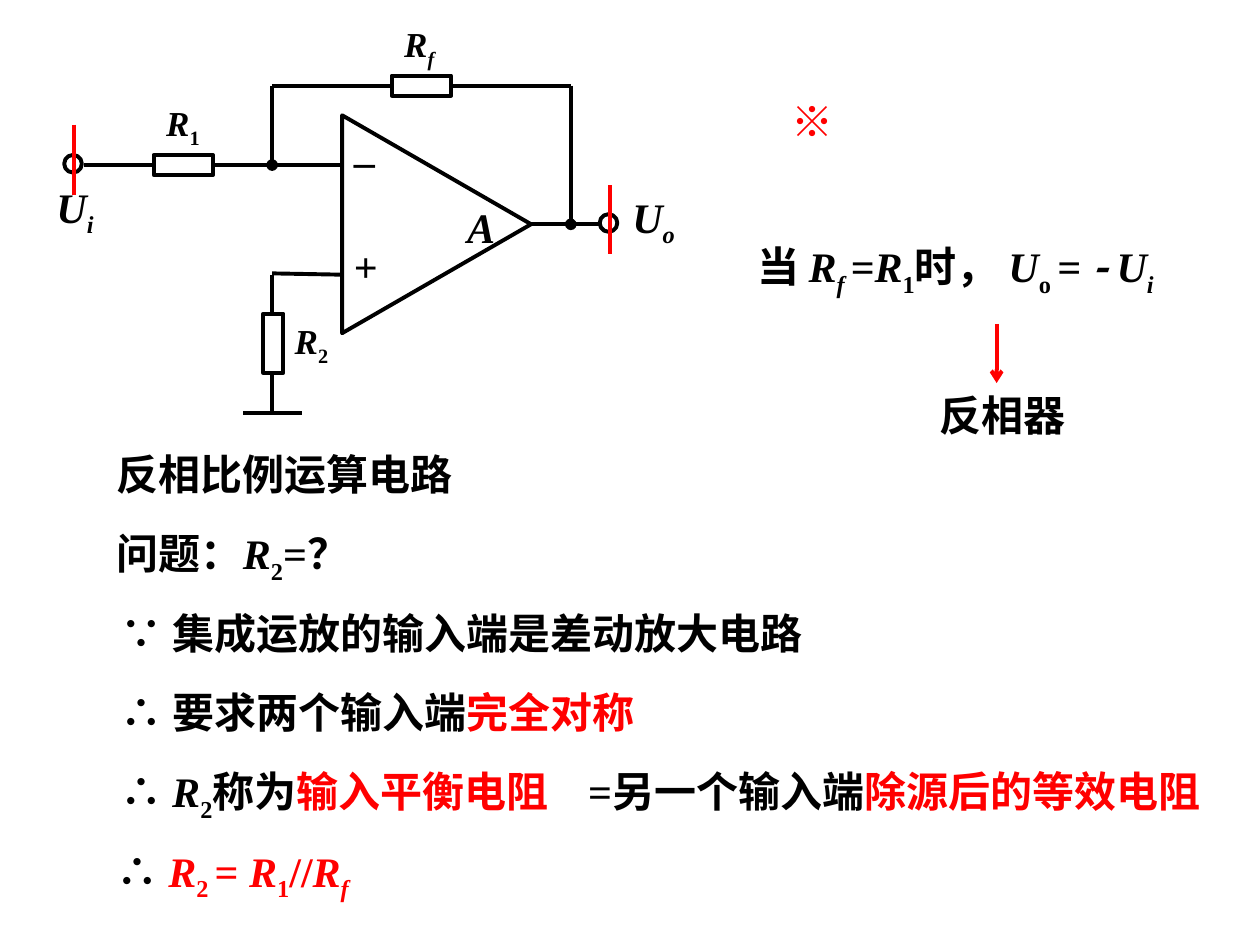
from dataclasses import dataclass
from typing import NamedTuple

import lxml.etree
import pptx
import pptx.dml.color
import pptx.enum.shapes
import pptx.enum.text
import pptx.oxml
import pptx.oxml.ns
import pptx.util

Inches = pptx.util.Inches
Shape = pptx.enum.shapes.MSO_SHAPE
qn = pptx.oxml.ns.qn


@dataclass(frozen=True)
class Theme:
    black: str = "000000"
    red: str = "FF0000"
    white: str = "FFFFFF"
    latin: str = "Times New Roman"
    chinese: str = "Noto Sans CJK SC"
    body: float = 24
    small: float = 20
    stroke: float = 2.25


THEME = Theme()


class Span(NamedTuple):
    text: str
    italic: bool = False
    sub: bool = False
    color: str = THEME.black
    font: str = THEME.latin


class Label(NamedTuple):
    left: float
    top: float
    width: float
    height: float
    spans: list[Span]
    size: float = THEME.body


class Wire(NamedTuple):
    x1: float
    y1: float
    x2: float
    y2: float
    color: str = THEME.black
    head: str = ""
    tail: str = ""


class Part(NamedTuple):
    kind: Shape
    left: float
    top: float
    width: float
    height: float
    rotation: float = 0


def rgb(color: str) -> pptx.dml.color.RGBColor:
    return pptx.dml.color.RGBColor.from_string(color)


def symbol(name: str, index: str, italic_index: bool = False,
           color: str = THEME.black) -> list[Span]:
    return [Span(name, True, color=color), Span(index, italic_index, True, color)]


def chinese(text: str, color: str = THEME.black) -> Span:
    return Span(text, color=color, font=THEME.chinese)


def draw_part(page, part: Part) -> None:
    shape = page.shapes.add_shape(
        part.kind, *map(Inches, (part.left, part.top, part.width, part.height)))
    shape.rotation = part.rotation
    shape.shadow.inherit = False
    shape.fill.solid()
    shape.fill.fore_color.rgb = rgb(THEME.white)
    shape.line.color.rgb = rgb(THEME.black)
    shape.line.width = pptx.util.Pt(THEME.stroke)


def draw_wire(page, wire: Wire) -> None:
    line = page.shapes.add_connector(
        pptx.enum.shapes.MSO_CONNECTOR.STRAIGHT,
        *map(Inches, (wire.x1, wire.y1, wire.x2, wire.y2)))
    line.line.color.rgb = rgb(wire.color)
    line.line.width = pptx.util.Pt(THEME.stroke)
    properties = line._element.spPr
    outline = properties.find(qn("a:ln"))
    for tag, end in (("a:headEnd", wire.head), ("a:tailEnd", wire.tail)):
        if end:
            lxml.etree.SubElement(outline, qn(tag), type=end)
    lxml.etree.SubElement(properties, qn("a:effectLst"))


def draw_label(page, label: Label) -> None:
    box = page.shapes.add_textbox(
        *map(Inches, (label.left, label.top, label.width, label.height)))
    box.text_frame.word_wrap = True
    box.text_frame.auto_size = pptx.enum.text.MSO_AUTO_SIZE.SHAPE_TO_FIT_TEXT
    para = box.text_frame.paragraphs[0]
    for span in label.spans:
        run = para.add_run()
        run.text = span.text
        values = {"name": span.font, "size": pptx.util.Pt(label.size),
                  "bold": True, "italic": span.italic}
        for name, value in values.items():
            setattr(run.font, name, value)
        run.font.color.rgb = rgb(span.color)
        properties = run._r.get_or_add_rPr()
        lxml.etree.SubElement(properties, qn("a:ea"), typeface=THEME.chinese)
        if span.sub:
            properties.set("baseline", "-25000")


AMPLIFIER = Part(Shape.ISOSCELES_TRIANGLE, 2.6, 1.03, 1.73, 1.5, 90)
NODE_X, OUTPUT_X = 2.16, 4.53
FEEDBACK_Y, INPUT_Y, OUTPUT_Y, GROUND_Y = 0.68, 1.31, 1.78, 3.28

WIRES = [
    Wire(2.71, INPUT_Y, 0.67, INPUT_Y),
    Wire(2.71, 2.18, NODE_X, 2.17),
    Wire(4.21, OUTPUT_Y, 4.76, OUTPUT_Y),
    Wire(NODE_X, 2.18, NODE_X, GROUND_Y),
    Wire(1.93, GROUND_Y, 2.4, GROUND_Y),
    Wire(NODE_X, INPUT_Y, NODE_X, FEEDBACK_Y, head="oval"),
    Wire(NODE_X, FEEDBACK_Y, OUTPUT_X, FEEDBACK_Y),
    Wire(OUTPUT_X, FEEDBACK_Y, OUTPUT_X, OUTPUT_Y, tail="oval"),
]
PARTS = [
    Part(Shape.OVAL, 0.51, 1.23, 0.14, 0.14),
    Part(Shape.OVAL, 4.76, 1.7, 0.14, 0.14),
    Part(Shape.RECTANGLE, 2.09, 2.49, 0.16, 0.47),
    Part(Shape.RECTANGLE, 1.22, 1.23, 0.47, 0.16),
    Part(Shape.RECTANGLE, 3.11, 0.6, 0.47, 0.16),
]
CIRCUIT_LABELS = [
    Label(3.61, 1.55, 1, 0.5, [Span("A", True)]),
    Label(4.92, 1.47, 0.91, 0.56, symbol("U", "o", True)),
    Label(0.35, 1.39, 1.34, 0.56, symbol("U", "i", True)),
    Label(2.71, 0.91, 0.63, 0.5, [Span("_")]),
    Label(2.71, 1.86, 0.63, 0.5, [Span("+")]),
    Label(2.24, 2.49, 1.02, 0.48, symbol("R", "2"), THEME.small),
    Label(3.11, 0.13, 1.02, 0.48, symbol("R", "f", True), THEME.small),
    Label(1.22, 0.76, 1.02, 0.48, symbol("R", "1"), THEME.small),
]
INVERTER_LABELS = [
    Label(6.18, 0.71, 2.76, 0.5, [chinese("※", THEME.red)]),
    Label(5.91, 1.86, 4.09, 0.56, [
        Span("当 "), *symbol("R", "f ", True), Span("="), *symbol("R", "1"),
        Span("时， "), *symbol("U", "o "), Span("= ", True),
        Span("- ", True, font=THEME.chinese), *symbol("U", "i", True)]),
    Label(7.36, 3.04, 1.57, 0.5, [Span("反相器")]),
]
ROW_TOP, ROW_STEP = 3.51, 0.63
ROWS = [
    (0.83, 3.39, [Span("反相比例运算电路")]),
    (0.83, 4.33, [Span("问题："), *symbol("R", "2"), Span("=？")]),
    (0.86, 5.83, [chinese("∵ 集成运放的输入端是差动放大电路")]),
    (0.86, 5.83, [chinese("∴ 要求两个输入端"), chinese("完全对称", THEME.red)]),
    (0.86, 5.83, [chinese("∴ "), *symbol("R", "2"), Span("称为"),
                  Span("输入平衡电阻", color=THEME.red)]),
    (0.83, 5.83, [chinese("∴ "), *symbol("R", "2 ", color=THEME.red),
                  Span("= ", color=THEME.red), *symbol("R", "1", color=THEME.red),
                  Span("//", color=THEME.red),
                  *symbol("R", "f", True, THEME.red)]),
]
DERIVATION_LABELS = [
    Label(left, ROW_TOP + index * ROW_STEP, width, 0.56, spans)
    for index, (left, width, spans) in enumerate(ROWS)
] + [
    Label(4.57, ROW_TOP + 4 * ROW_STEP, 5.43, 0.5, [
        Span("=另一个输入端"), Span("除源后的等效电阻", color=THEME.red)]),
]
RED_MARKS = [
    Wire(7.91, 2.57, 7.91, 3.04, THEME.red, tail="arrow"),
    Wire(0.59, 0.99, 0.59, 1.55, THEME.red),
    Wire(4.84, 1.47, 4.84, 2.02, THEME.red),
]


def main() -> None:
    deck = pptx.Presentation()
    deck.slide_width, deck.slide_height = Inches(10), Inches(7.5)
    page = deck.slides.add_slide(deck.slide_layouts[6])
    draw_part(page, AMPLIFIER)
    for wire in WIRES:
        draw_wire(page, wire)
    for part in PARTS:
        draw_part(page, part)
    for label in CIRCUIT_LABELS + INVERTER_LABELS + DERIVATION_LABELS:
        draw_label(page, label)
    for mark in RED_MARKS:
        draw_wire(page, mark)
    deck.save("out.pptx")


if __name__ == "__main__":
    main()
